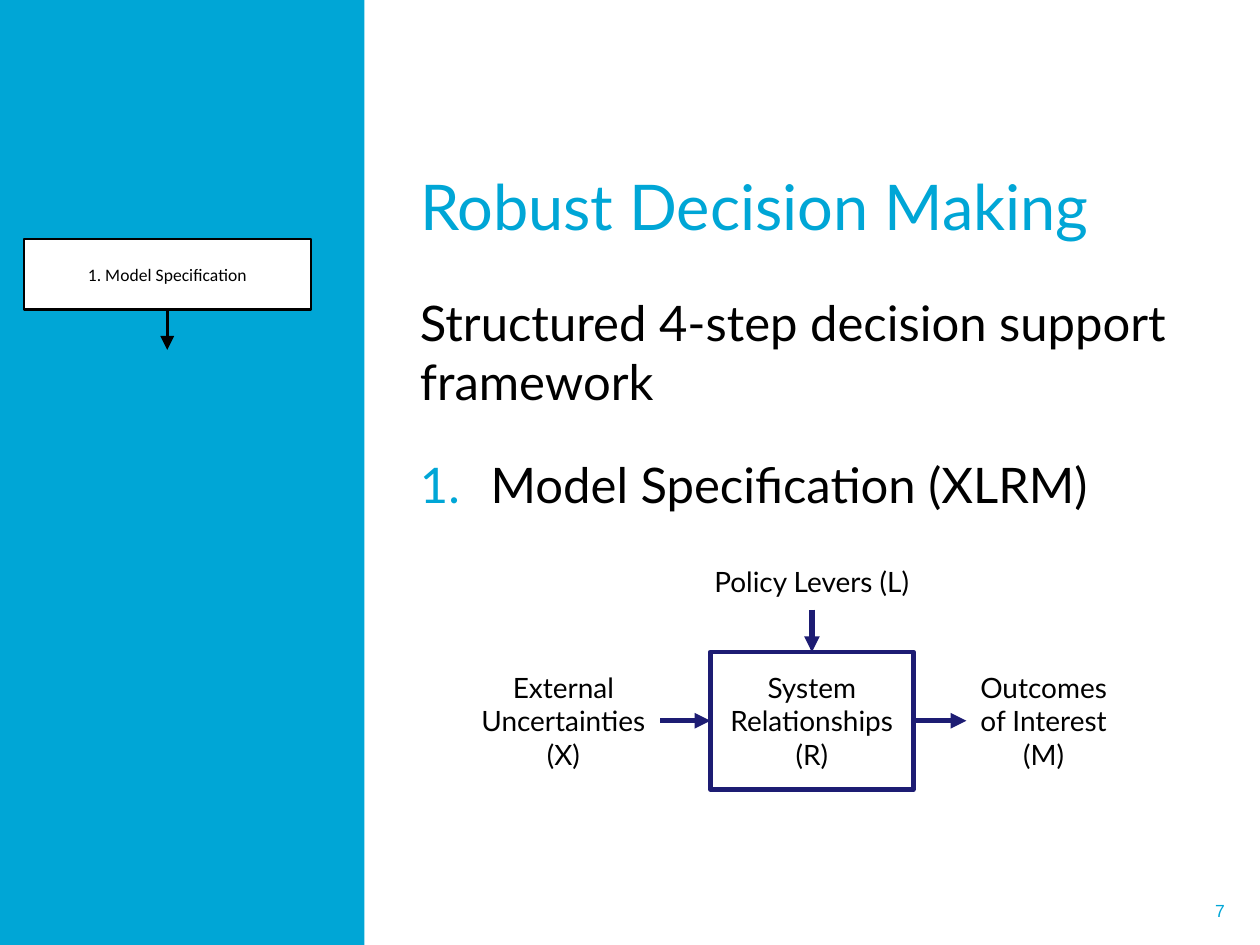
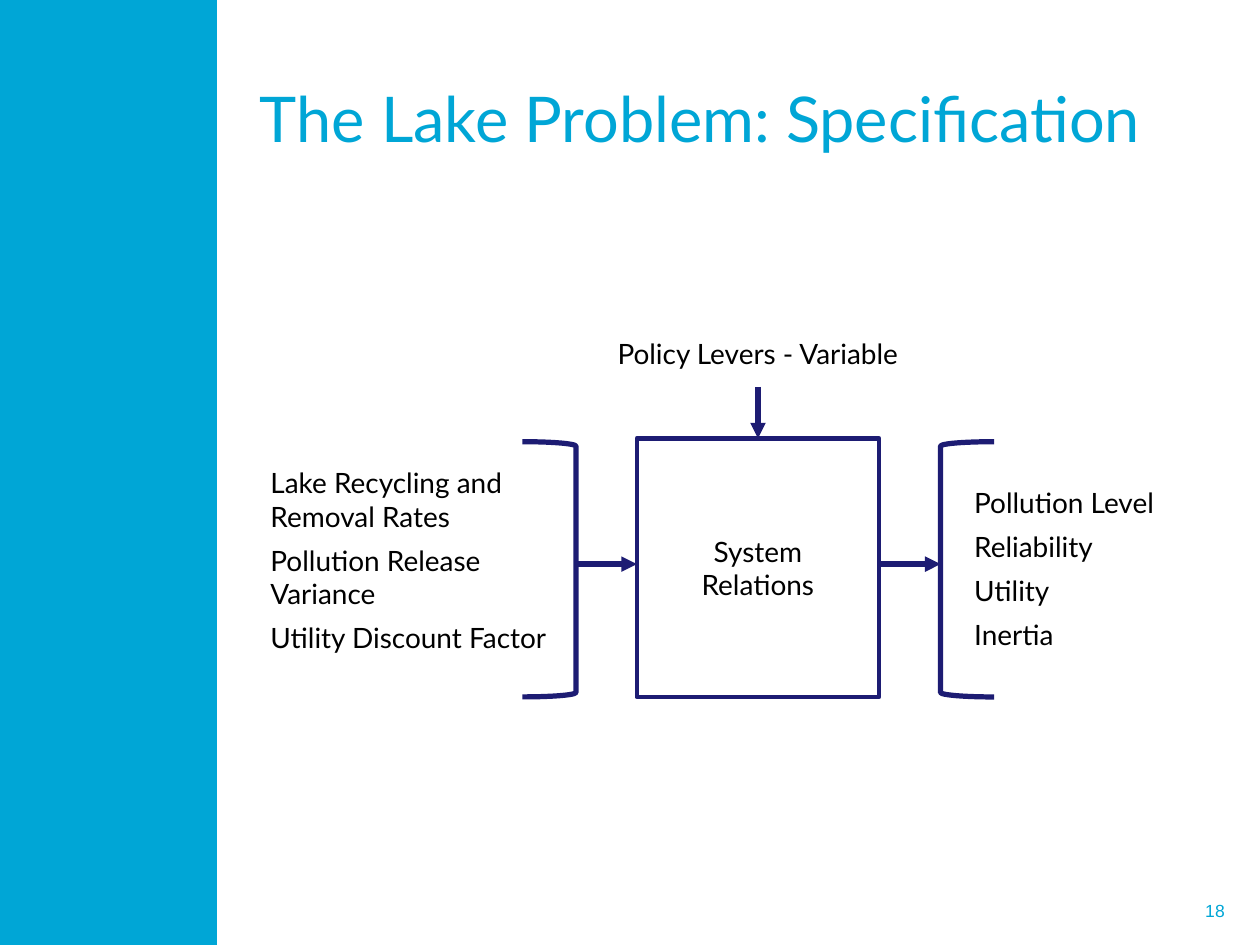
import pptx
import pptx.util
import pptx.dml.color
import pptx.enum.shapes
import pptx.enum.text
import pptx.oxml
import pptx.oxml.ns

Cm = pptx.util.Cm
Pt = pptx.util.Pt
RGBColor = pptx.dml.color.RGBColor
Shape = pptx.enum.shapes.MSO_SHAPE
Align = pptx.enum.text.PP_ALIGN
Anchor = pptx.enum.text.MSO_ANCHOR

CYAN = RGBColor(0x00, 0xA6, 0xD6)
NAVY = RGBColor(0x1D, 0x1C, 0x73)
BLACK = RGBColor(0, 0, 0)
WHITE = RGBColor(255, 255, 255)

WIDTH, HEIGHT = 19.05, 14.29
TIGHT = (0.1, 0.05)
ROOMY = (0.25, 0.13)


def add_xml(parent, tag, **attrs):
    node = pptx.oxml.parse_xml(f"<a:{tag} {pptx.oxml.ns.nsdecls('a')}/>")
    for name, value in attrs.items():
        node.set(name, value)
    parent.append(node)
    return node


def write(shape, text, size=12, font="Lato", color=BLACK, align=Align.CENTER,
          anchor=Anchor.MIDDLE, after=0, inset=TIGHT):
    frame = shape.text_frame
    frame.word_wrap = True
    frame.auto_size = pptx.enum.text.MSO_AUTO_SIZE.NONE
    frame.vertical_anchor = anchor
    frame.margin_left = frame.margin_right = Cm(inset[0])
    frame.margin_top = frame.margin_bottom = Cm(inset[1])
    frame.text = text
    for para in frame.paragraphs:
        para.alignment = align
        para.space_before = Pt(0)
        para.space_after = Pt(after)
        for run in para.runs:
            run.font.size = Pt(size)
            run.font.name = font
            run.font.color.rgb = color
    return frame


def label(slide, box, text, **style):
    return write(slide.shapes.add_textbox(*map(Cm, box)), text, **style)


def outline(slide, box, kind=Shape.RECTANGLE, fill=None, line=None, weight=2):
    shape = slide.shapes.add_shape(kind, *map(Cm, box))
    shape.shadow.inherit = False
    if fill is None:
        shape.fill.background()
    else:
        shape.fill.solid()
        shape.fill.fore_color.rgb = fill
    if line is None:
        shape.line.fill.background()
    else:
        shape.line.color.rgb = line
        shape.line.width = Pt(weight)
    return shape


def arrow(slide, start, end, color=NAVY, weight=2.25):
    kind = pptx.enum.shapes.MSO_CONNECTOR.STRAIGHT
    line = slide.shapes.add_connector(kind, *map(Cm, start + end))
    line.line.color.rgb = color
    line.line.width = Pt(weight)
    add_xml(line.line._get_or_add_ln(), "tailEnd", type="triangle")
    add_xml(line._element.spPr, "effectLst")


def number(para, indent, color):
    props = para._p.get_or_add_pPr()
    props.set("marL", str(Cm(indent)))
    props.set("indent", str(-Cm(indent)))
    tint = add_xml(props, "buClr")
    add_xml(tint, "srgbClr", val=str(color))
    add_xml(props, "buFont", typeface="+mj-lt")
    add_xml(props, "buAutoNum", type="arabicPeriod")


def start(deck, title, box, band, page):
    slide = deck.slides.add_slide(deck.slide_layouts[5])
    outline(slide, (0, 0, band, HEIGHT), fill=CYAN)
    head = slide.shapes.title
    head.left, head.top, head.width, head.height = map(Cm, box)
    write(head, title, size=27, color=CYAN, align=Align.LEFT, inset=ROOMY)
    label(slide, (13.87, 13.39, 4.83, 0.76), page, size=7.5, font="Arial",
          color=CYAN, align=Align.RIGHT, inset=(0.18, 0.1))
    return slide


def system(slide, box, text, lever, drop, ends, level):
    left, top, width, height = box
    write(outline(slide, box, line=NAVY), text)
    middle = left + width / 2
    label(slide, (middle - drop[0] / 2, drop[1], drop[0], drop[2]), lever)
    arrow(slide, (middle, drop[1] + drop[2]), (middle, top))
    arrow(slide, (ends[0], level), (left, level))
    arrow(slide, (left + width, level), (ends[1], level))


def steps(deck):
    slide = start(deck, "Robust Decision Making", (6.1, 2.21, 12.4, 1.78),
                  5.51, "7")
    body = label(slide, (6.1, 4.29, 12.4, 3.8),
                 "Structured 4-step decision support framework\n"
                 "Model Specification (XLRM)",
                 size=21, align=Align.LEFT, anchor=Anchor.TOP, inset=ROOMY)
    step = body.paragraphs[1]
    step.space_before = Pt(19)
    number(step, 1.07, CYAN)
    box = outline(slide, (0.36, 3.61, 4.34, 1.07), fill=WHITE, line=BLACK,
                  weight=1)
    write(box, "1. Model Specification", size=7.5, font="Calibri")
    arrow(slide, (2.53, 4.68), (2.53, 5.29), BLACK, 1.5)
    top, height = 9.86, 2.08
    system(slide, (10.74, top, 3.07, height), "System Relationships\n(R)",
           "Policy Levers (L)", (3.48, 8.36, 0.86), (9.98, 14.61),
           top + height / 2)
    for left, width, text in ((7.06, 2.92, "External Uncertainties\n(X)"),
                              (14.61, 2.34, "Outcomes of Interest\n(M)")):
        label(slide, (left, top, width, height), text)


def lake(deck):
    slide = start(deck, "The Lake Problem: Specification",
                  (3.68, 0.58, 14.81, 2.39), 3.28, "18")
    inner, outer, width = 8.71, 14.22, 0.81
    system(slide, (9.63, 6.63, 3.66, 3.91), "System\nRelations",
           "Policy Levers - Variable", (5.72, 4.83, 1.02), (inner, outer),
           8.53)
    for box, text in (
            ((3.99, 6.99, 4.72, 3.2),
             "Lake Recycling and Removal Rates\nPollution Release Variance\n"
             "Utility Discount Factor"),
            ((14.63, 7.29, 3.05, 2.49),
             "Pollution Level\nReliability\nUtility\nInertia")):
        label(slide, box, text, align=Align.LEFT, anchor=Anchor.TOP, after=4.5)
    for left, kind in ((inner - width, Shape.RIGHT_BRACKET),
                       (outer, Shape.LEFT_BRACKET)):
        outline(slide, (left, 6.68, width, 3.86), kind, line=NAVY, weight=2.25)


def main():
    deck = pptx.Presentation()
    deck.slide_width, deck.slide_height = Cm(WIDTH), Cm(HEIGHT)
    steps(deck)
    lake(deck)
    deck.save("out.pptx")


if __name__ == "__main__":
    main()
